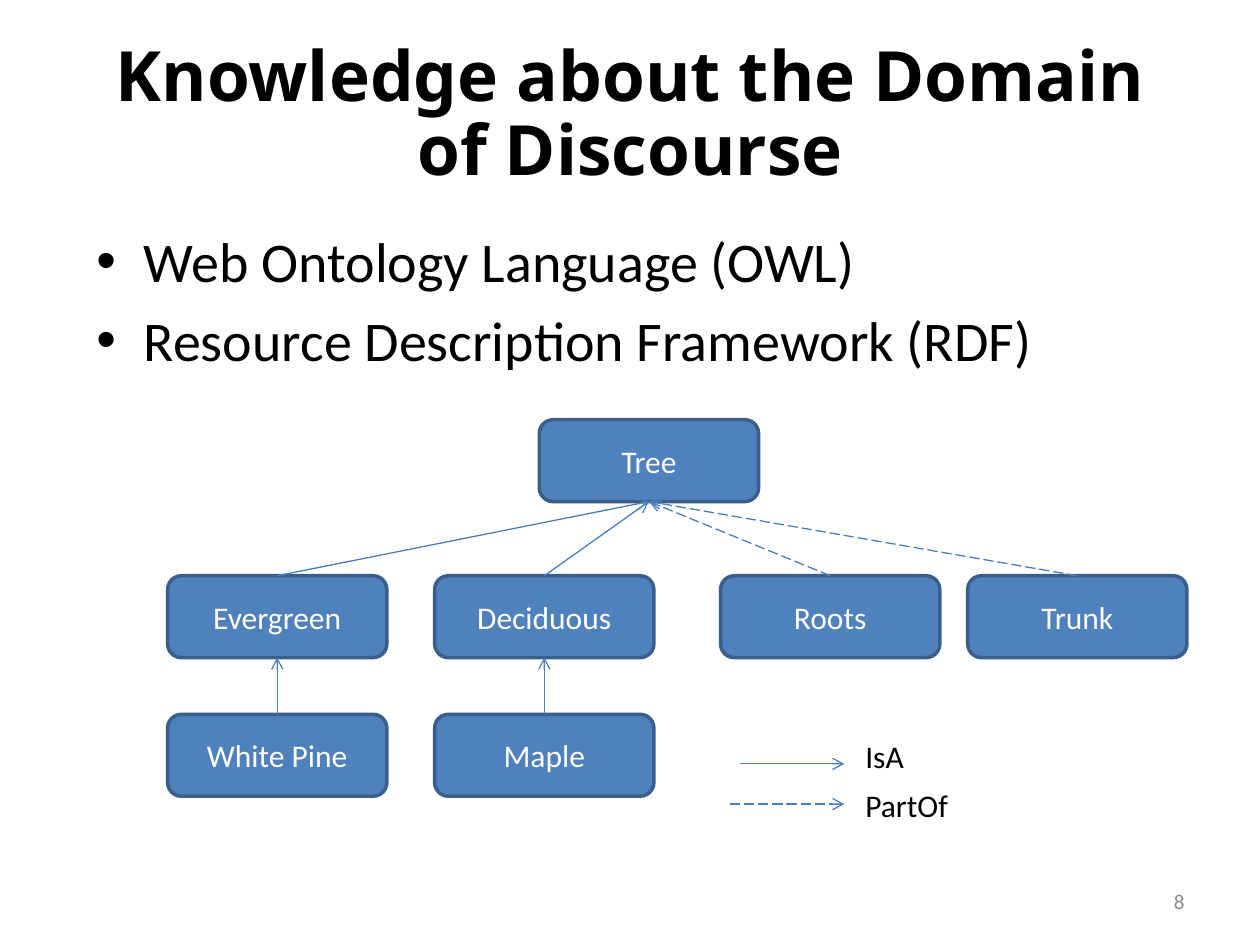
from lxml import etree
from pptx import Presentation
from pptx.dml.color import RGBColor
from pptx.enum.dml import MSO_LINE
from pptx.enum.shapes import MSO_CONNECTOR, MSO_SHAPE
from pptx.enum.text import MSO_ANCHOR, PP_ALIGN
from pptx.oxml.ns import qn
from pptx.util import Pt

STRAIGHT, ROUNDED = MSO_CONNECTOR.STRAIGHT, MSO_SHAPE.ROUNDED_RECTANGLE
LONG_DASH = MSO_LINE.LONG_DASH
TOP, MIDDLE = MSO_ANCHOR.TOP, MSO_ANCHOR.MIDDLE
LEFT, CENTER, RIGHT = PP_ALIGN.LEFT, PP_ALIGN.CENTER, PP_ALIGN.RIGHT
TOP_SITE, BOTTOM_SITE = 0, 2

COLORS = {
    "text": "000000",
    "page_number": "8C8C8C",
    "node": "4F81BD",
    "node_border": "3A5F8C",
    "node_text": "FFFFFF",
    "arrow": "4B7EBC",
}

TITLE = "Knowledge about the Domain of Discourse"
BULLETS = ["Web Ontology Language (OWL)", "Resource Description Framework (RDF)"]
PAGE_NUMBER = "8"

NODE_SIZE = (125.3, 46.8)
ROW_TOPS = [239.8, 329, 408.2]
# concept: (left, row)
NODES = {
    "Tree": (308.2, 0),
    "Evergreen": (95.8, 1),
    "Deciduous": (248.4, 1),
    "Roots": (411.8, 1),
    "Trunk": (553, 1),
    "White Pine": (95.8, 2),
    "Maple": (248.4, 2),
}
# (child, parent, relation)
RELATIONS = [
    ("Evergreen", "Tree", "IsA"),
    ("Deciduous", "Tree", "IsA"),
    ("White Pine", "Evergreen", "IsA"),
    ("Maple", "Deciduous", "IsA"),
    ("Roots", "Tree", "PartOf"),
    ("Trunk", "Tree", "PartOf"),
]
DASHES = {"IsA": None, "PartOf": LONG_DASH}
# (relation, arrow start, arrow y, label top, label width)
LEGEND = [("IsA", 422.6, 436.5, 417.6, 49.7), ("PartOf", 417, 459.5, 445.7, 88.6)]
LEGEND_ARROW_END, LEGEND_LABEL_LEFT, LEGEND_LABEL_HEIGHT = 482.4, 487.4, 36.7


def color(name):
    return RGBColor.from_string(COLORS[name])


def write(shape, lines, size, ink="text", font="Calibri", align=LEFT, anchor=TOP, bold=False):
    frame = shape.text_frame
    frame.word_wrap = True
    frame.vertical_anchor = anchor
    frame.text = "\n".join(lines)
    for paragraph in frame.paragraphs:
        paragraph.alignment = align
        paragraph.font.size = Pt(size)
        paragraph.font.name = font
        paragraph.font.bold = bold
        paragraph.font.color.rgb = color(ink)
    return frame


def add_text(slide, box, lines, size, **style):
    return write(slide.shapes.add_textbox(*map(Pt, box)), lines, size, **style)


def add_bullet(paragraph):
    paragraph.space_before = Pt(6.4)
    properties = paragraph._p.get_or_add_pPr()
    properties.set("marL", str(Pt(27)))
    properties.set("indent", str(Pt(-27)))
    bullet_font = etree.Element(qn("a:buFont"), typeface="Arial")
    bullet = etree.Element(qn("a:buChar"), char="•")
    default_font = properties.find(qn("a:defRPr"))
    for element in (bullet_font, bullet):
        if default_font is None:
            properties.append(element)
        else:
            default_font.addprevious(element)


def add_node(slide, concept, left, row):
    node = slide.shapes.add_shape(ROUNDED, *map(Pt, (left, ROW_TOPS[row], *NODE_SIZE)))
    node.shadow.inherit = False
    node.fill.solid()
    node.fill.fore_color.rgb = color("node")
    node.line.color.rgb = color("node_border")
    node.line.width = Pt(2)
    write(node, [concept], 18, ink="node_text", align=CENTER, anchor=MIDDLE)
    return node


def add_arrow(slide, relation, start=(0, 0), end=(0, 0)):
    arrow = slide.shapes.add_connector(STRAIGHT, *map(Pt, (*start, *end)))
    arrow.line.color.rgb = color("arrow")
    arrow.line.width = Pt(0.75)
    if DASHES[relation]:
        arrow.line.dash_style = DASHES[relation]
    etree.SubElement(arrow.line._get_or_add_ln(), qn("a:tailEnd"), type="arrow")
    etree.SubElement(arrow._element.spPr, qn("a:effectLst"))
    return arrow


def main():
    deck = Presentation()
    deck.slide_width, deck.slide_height = Pt(720), Pt(540)
    slide = deck.slides.add_slide(deck.slide_layouts[6])

    title = add_text(slide, (36, 21.6, 648, 90), [TITLE], 39.6,
                     font="Noto Sans", align=CENTER, anchor=MIDDLE, bold=True)
    title.paragraphs[0].line_spacing = 0.88
    body = add_text(slide, (48, 126, 648, 96), BULLETS, 32)
    for paragraph in body.paragraphs:
        add_bullet(paragraph)
    add_text(slide, (516, 500.5, 168, 28.8), [PAGE_NUMBER], 12,
             ink="page_number", align=RIGHT, anchor=MIDDLE)

    nodes = {concept: add_node(slide, concept, *place) for concept, place in NODES.items()}
    for child, parent, relation in RELATIONS:
        arrow = add_arrow(slide, relation)
        arrow.begin_connect(nodes[child], TOP_SITE)
        arrow.end_connect(nodes[parent], BOTTOM_SITE)

    for relation, start, y, label_top, label_width in LEGEND:
        add_arrow(slide, relation, (start, y), (LEGEND_ARROW_END, y))
        add_text(slide, (LEGEND_LABEL_LEFT, label_top, label_width, LEGEND_LABEL_HEIGHT),
                 [relation], 18)

    deck.save("out.pptx")


if __name__ == "__main__":
    main()
